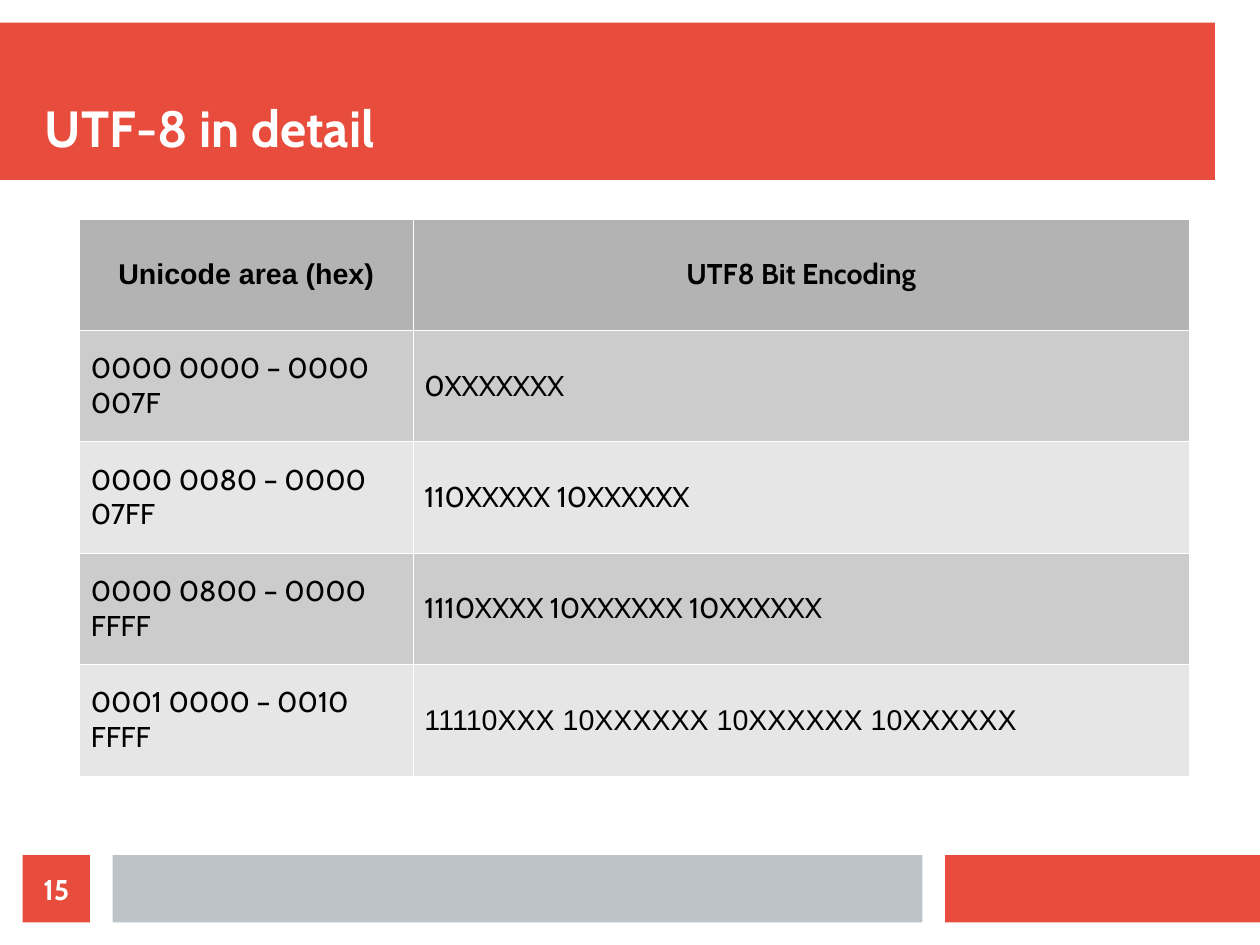
from lxml import etree
from pptx import Presentation
from pptx import util as u
from pptx.dml.color import RGBColor
from pptx.enum import shapes, text
from pptx.oxml import ns

COLORS = {
    "red": "E74C3C",
    "silver": "BDC3C7",
    "white": "FFFFFF",
    "black": "000000",
    "header": "B3B3B3",
    "odd": "CCCCCC",
    "even": "E6E6E6",
}
ENCODINGS = [
    ("Unicode area (hex)", "UTF8 Bit Encoding"),
    ("0000 0000 – 0000 007F", "0XXXXXXX"),
    ("0000 0080 – 0000 07FF", "110XXXXX 10XXXXXX"),
    ("0000 0800 – 0000 FFFF", "1110XXXX 10XXXXXX 10XXXXXX"),
    ("0001 0000 – 0010 FFFF", "11110XXX 10XXXXXX 10XXXXXX 10XXXXXX"),
]
ARIAL_CELLS = {(0, 0), (4, 1)}


def color(name):
    return RGBColor.from_string(COLORS[name])


class SlideBuilder:
    font = "Cabin"
    border_width = 0.06

    def __init__(self, page):
        self.page = page

    def label(self, frame, words, size, ink, bold=False, font=None, align=text.PP_ALIGN.LEFT):
        frame.word_wrap = True
        para = frame.paragraphs[0]
        para.text = words
        para.alignment = align
        para.font.name = font or self.font
        para.font.size = u.Pt(size)
        para.font.bold = bold
        para.font.color.rgb = color(ink)

    def clear_margins(self, frame):
        frame.margin_left = frame.margin_right = 0
        frame.margin_top = frame.margin_bottom = 0

    def block(self, left, top, width, height, fill):
        box = self.page.shapes.add_shape(
            shapes.MSO_SHAPE.RECTANGLE, *map(u.Pt, (left, top, width, height)))
        box.shadow.inherit = False
        box.fill.solid()
        box.fill.fore_color.rgb = color(fill)
        box.line.fill.background()
        return box

    def number(self, box, words):
        frame = box.text_frame
        self.clear_margins(frame)
        frame.vertical_anchor = text.MSO_ANCHOR.MIDDLE
        self.label(frame, words, 18, "white", True, align=text.PP_ALIGN.CENTER)

    def title(self, left, top, width, height, words):
        box = self.page.shapes.add_textbox(*map(u.Pt, (left, top, width, height)))
        self.clear_margins(box.text_frame)
        box.text_frame.vertical_anchor = text.MSO_ANCHOR.BOTTOM
        self.label(box.text_frame, words, 32, "white", True)

    def border(self, cell):
        properties = cell._tc.get_or_add_tcPr()
        for index, side in enumerate(("lnL", "lnR", "lnT", "lnB")):
            line = etree.Element(ns.qn("a:" + side), w=str(int(u.Pt(self.border_width))))
            fill = etree.SubElement(line, ns.qn("a:solidFill"))
            etree.SubElement(fill, ns.qn("a:srgbClr"), val=COLORS["white"])
            properties.insert(index, line)

    def table(self, left, top, widths, row_height, rows):
        grid = self.page.shapes.add_table(
            len(rows), len(widths), u.Pt(left), u.Pt(top),
            u.Pt(sum(widths)), u.Pt(row_height * len(rows))).table
        for column, width in zip(grid.columns, widths):
            column.width = u.Pt(width)
        for r, row in enumerate(rows):
            grid.rows[r].height = u.Pt(row_height)
            header = r == 0
            fill = "header" if header else "odd" if r % 2 else "even"
            align = text.PP_ALIGN.CENTER if header else text.PP_ALIGN.LEFT
            for c, words in enumerate(row):
                cell = grid.cell(r, c)
                cell.vertical_anchor = text.MSO_ANCHOR.MIDDLE
                cell.fill.solid()
                cell.fill.fore_color.rgb = color(fill)
                self.border(cell)
                font = "Arial" if (r, c) in ARIAL_CELLS else None
                self.label(cell.text_frame, words, 18, "black", header, font, align)


def main():
    deck = Presentation()
    deck.slide_width, deck.slide_height = u.Pt(793.7), u.Pt(595.3)
    builder = SlideBuilder(deck.slides.add_slide(deck.slide_layouts[6]))

    footer_top, footer_height = 538.6, 42.5
    builder.block(0, 14.2, 765.4, 99.2, "red")
    builder.block(595.3, footer_top, 198.4, footer_height, "red")
    builder.block(70.9, footer_top, 510.2, footer_height, "silver")
    builder.title(28.3, 28.3, 737, 70.9, "UTF-8 in detail")
    builder.table(50, 137.8, (210.2, 488.9), 70.2, ENCODINGS)
    page_badge = builder.block(14.2, footer_top, footer_height, footer_height, "red")
    builder.number(page_badge, "15")

    deck.save("out.pptx")


if __name__ == "__main__":
    main()
